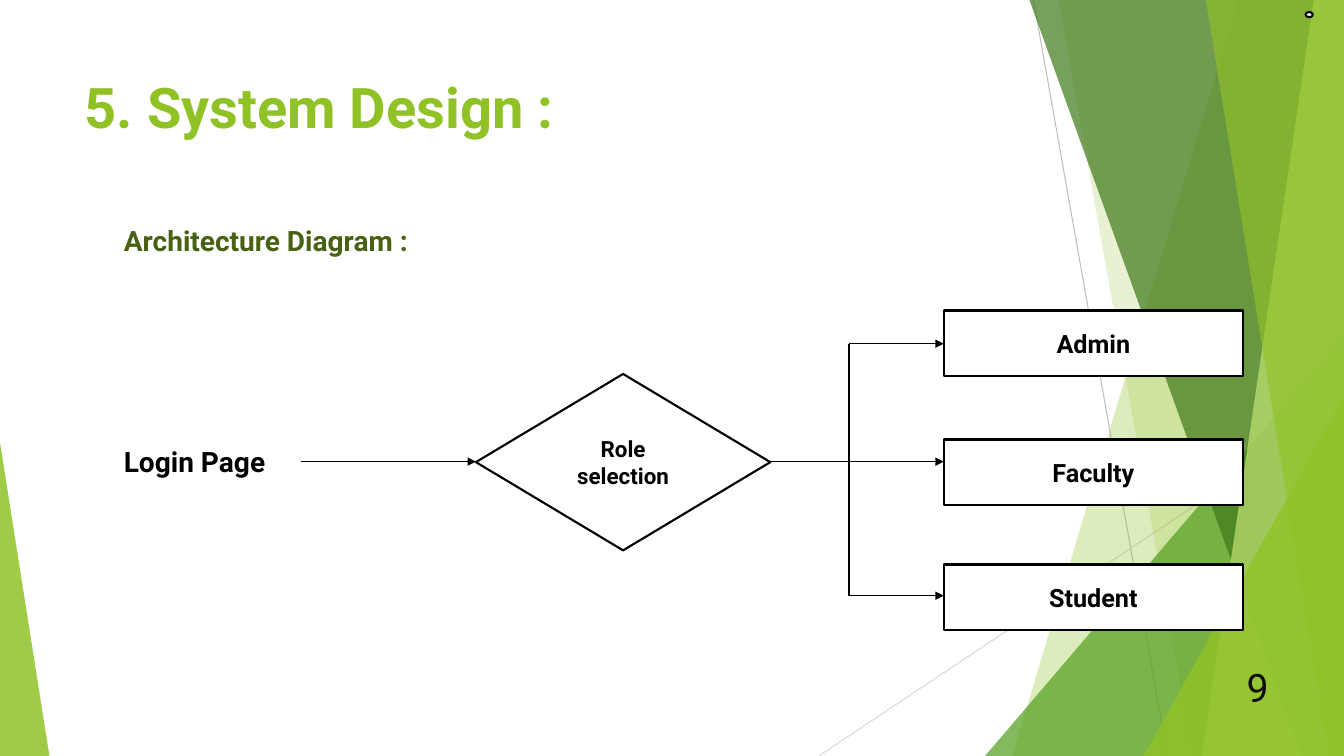
from lxml import etree
from pptx import Presentation
from pptx.dml.color import RGBColor
from pptx.enum.shapes import MSO_CONNECTOR, MSO_SHAPE
from pptx.enum.text import MSO_ANCHOR, MSO_AUTO_SIZE, PP_ALIGN
from pptx.oxml.ns import qn
from pptx.util import Inches, Pt

LEFT, CENTER, RIGHT = PP_ALIGN.LEFT, PP_ALIGN.CENTER, PP_ALIGN.RIGHT
TOP, MIDDLE = MSO_ANCHOR.TOP, MSO_ANCHOR.MIDDLE
RECTANGLE, TRIANGLE = MSO_SHAPE.RECTANGLE, MSO_SHAPE.ISOSCELES_TRIANGLE
DECISION, CIRCLE = MSO_SHAPE.FLOWCHART_DECISION, MSO_SHAPE.FLOWCHART_CONNECTOR
STRAIGHT = MSO_CONNECTOR.STRAIGHT
WIDTH, HEIGHT = 13.33, 7.5
GREEN, BLACK, WHITE = "90C226", "000000", "FFFFFF"

# Content: text, box, format
TITLE = ("5. System Design :", (0.74, 0.67, 9.4, 1.44), {"size": 40, "color": GREEN})
LABELS = [
    ("Architecture Diagram :", (1.13, 2.17, 3.31, 0.44), {"size": 20, "color": "486113"}),
    ("Login Page", (1.13, 4.36, 1.86, 0.44), {"size": 20}),
    ("9", (9.39, 6.61, 3.29, 0.4), {"size": 28, "color": "0D0D0D", "bold": False,
                                     "align": RIGHT, "anchor": MIDDLE}),
]
DECISION_TEXT, DECISION_BOX = "Role selection", (4.72, 3.71, 2.92, 1.75)
ROLES = [("Admin", 3.08, 3.41), ("Faculty", 4.36, 4.58), ("Student", 5.6, 5.91)]  # box top, arrow y
ROLE_LEFT, ROLE_WIDTH, ROLE_HEIGHT = 9.36, 2.97, 0.65
LOGIN_RIGHT, BRANCH_X, FLOW_Y = 2.99, 8.42, 4.58

# Background: bands run from top x to bottom x and fill to the right edge;
# wedges are right triangles given by box and apex side
RAYS = [((10.25, 0, 11.58, HEIGHT), "BFBFBF"), ((WIDTH, 4.03, 8.12, HEIGHT), "D9D9D9")]
FACETS = [
    ("band", (12.28, 10.04), GREEN, 30),
    ("band", (10.5, 11.83), GREEN, 20),
    ("wedge", (9.77, 3.33, 3.56, 4.17, 1), "54A021", 72),
    ("band", (10.21, 12.91), "3F7819", 70),
    ("band", (13.03, 11.92), "C0E474", 70),
    ("band", (11.96, 13.18), GREEN, 65),
    ("wedge", (11.34, 3.93, 1.99, 3.57, 1), GREEN, 80),
    ("wedge", (0, 4.39, 0.49, 3.11, 0), GREEN, 85),
]

prs = Presentation()
prs.slide_width, prs.slide_height = Inches(WIDTH), Inches(HEIGHT)
slide = prs.slides.add_slide(prs.slide_layouts[5])
shapes = slide.shapes


def rgb(color):
    return RGBColor.from_string(color)


def inches(values):
    return [Inches(value) for value in values]


def write(holder, text, size=18, color=BLACK, bold=True, align=LEFT, anchor=TOP):
    frame = holder.text_frame
    frame.word_wrap, frame.auto_size = True, MSO_AUTO_SIZE.NONE
    frame.vertical_anchor = anchor
    paragraph = frame.paragraphs[0]
    paragraph.alignment = align
    run = paragraph.add_run()
    run.text = text
    for key, value in {"name": "Roboto", "size": Pt(size), "bold": bold}.items():
        setattr(run.font, key, value)
    run.font.color.rgb = rgb(color)


def connect(ends, color=BLACK, weight=1, arrow=True):
    line = shapes.add_connector(STRAIGHT, *inches(ends))
    line.line.color.rgb, line.line.width = rgb(color), Pt(weight)
    if arrow:
        etree.SubElement(line.line._get_or_add_ln(), qn("a:tailEnd"), type="triangle")
    etree.SubElement(line._element.spPr, qn("a:effectLst"))


def paint_facet(shape, color, opacity):
    shape.shadow.inherit = False
    shape.fill.solid()
    shape.fill.fore_color.rgb = rgb(color)
    shape.line.fill.background()
    fill_color = shape._element.spPr.find(qn("a:solidFill"))[0]
    etree.SubElement(fill_color, qn("a:alpha"), val=str(opacity * 1000))


def add_node(kind, box):
    node = shapes.add_shape(kind, *inches(box))
    node.shadow.inherit = False
    node.fill.solid()
    node.fill.fore_color.rgb = rgb(WHITE)
    node.line.color.rgb, node.line.width = rgb(BLACK), Pt(1.5)
    return node


# Background rays and facets
for ends, color in RAYS:
    connect(ends, color, 0.75, arrow=False)
for kind, geometry, color, opacity in FACETS:
    if kind == "band":
        top_x, bottom_x = geometry
        outline = shapes.build_freeform(Inches(top_x), 0)
        corners = [(WIDTH, 0), (WIDTH, HEIGHT), (bottom_x, HEIGHT)]
        outline.add_line_segments([inches(corner) for corner in corners])
        facet = outline.convert_to_shape()
    else:
        *box, apex = geometry
        facet = shapes.add_shape(TRIANGLE, *inches(box))
        facet.adjustments[0] = apex
    paint_facet(facet, color, opacity)

# Title and labels
title_text, title_box, title_format = TITLE
title = shapes.title
title.left, title.top, title.width, title.height = inches(title_box)
write(title, title_text, **title_format)
for text, box, text_format in LABELS:
    write(shapes.add_textbox(*inches(box)), text, **text_format)

# Role boxes, decision and corner dot
for role, top, _ in ROLES:
    role_box = add_node(RECTANGLE, (ROLE_LEFT, top, ROLE_WIDTH, ROLE_HEIGHT))
    write(role_box, role, align=CENTER, anchor=MIDDLE)
decision = add_node(DECISION, DECISION_BOX)
write(decision, DECISION_TEXT, size=16, align=CENTER, anchor=MIDDLE)
add_node(CIRCLE, (12.95, 0.12, 0.07, 0.05))

# Flow arrows: login to decision, then a trunk branching to each role
decision_left, decision_right = DECISION_BOX[0], DECISION_BOX[0] + DECISION_BOX[2]
connect((LOGIN_RIGHT, FLOW_Y, decision_left, FLOW_Y))
for _, _, arrow_y in ROLES:
    start = decision_right if arrow_y == FLOW_Y else BRANCH_X
    connect((start, arrow_y, ROLE_LEFT, arrow_y))
connect((BRANCH_X, ROLES[0][2], BRANCH_X, ROLES[-1][2]), arrow=False)

prs.save("out.pptx")
